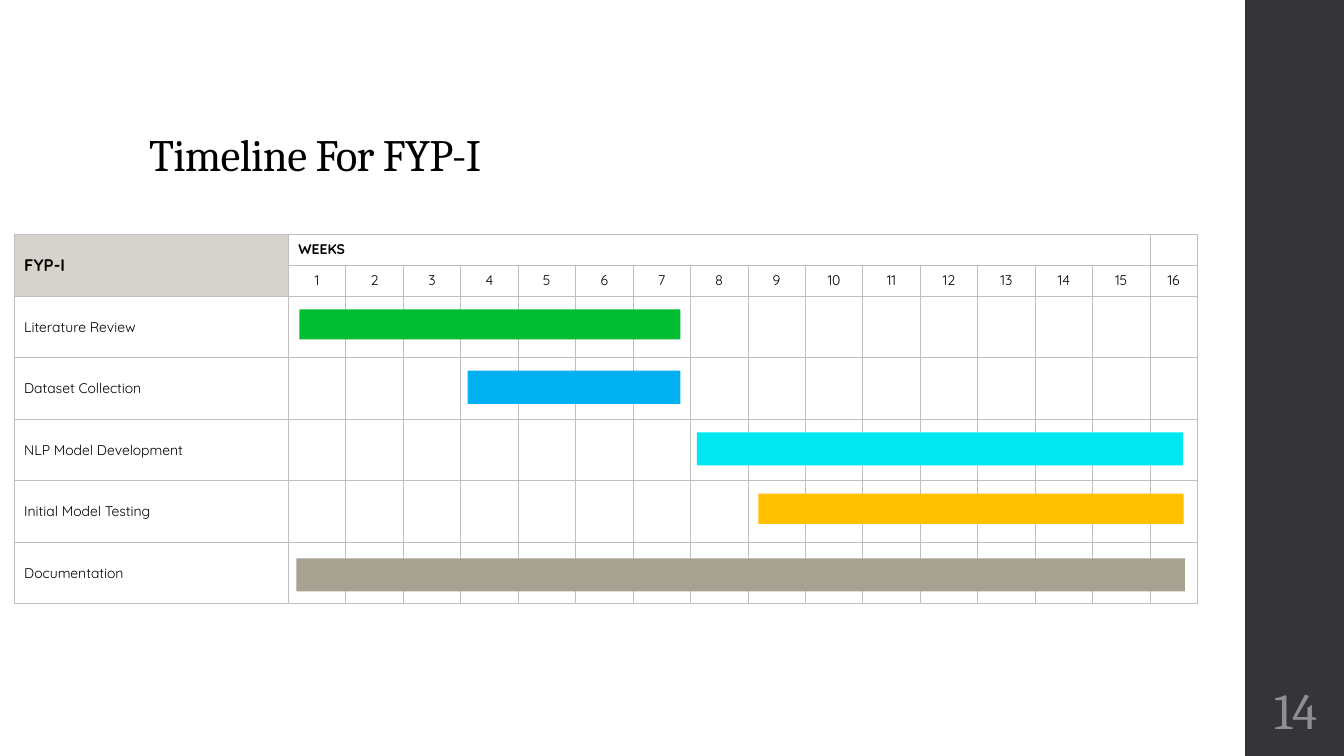
from lxml.etree import SubElement
from pptx import Presentation
from pptx.dml.color import RGBColor
from pptx.enum.shapes import MSO_SHAPE
from pptx.enum.text import MSO_ANCHOR, PP_ALIGN
from pptx.oxml.ns import qn
from pptx.util import Inches, Pt

SLIDE_W, SLIDE_H = 13.33, 7.5

# Timeline grid, in inches
GRID_LEFT, GRID_TOP = 0.14, 2.32
TASK_COL, WEEK_COL, LAST_COL = 2.72, 0.57, 0.47
HEAD_ROW, TASK_ROW = 0.31, 0.61
WEEKS = 16

# Task, colour, start and length in week columns, offset and height in task rows
TASKS = [
    ("Literature Review", "00BD32", 0.19, 6.63, 0.21, 0.49),
    ("Dataset Collection", "00B0F0", 3.12, 3.7, 0.21, 0.54),
    ("NLP Model Development", "00E7F2", 7.11, 8.46, 0.21, 0.54),
    ("Initial Model Testing", "FFC000", 8.18, 7.4, 0.21, 0.49),
    ("Documentation", "A7A192", 0.14, 15.46, 0.26, 0.54),
]


def paint(fill, color, alpha=100):
    """Make the fill solid, with alpha as a percentage of opacity."""
    fill.solid()
    fill.fore_color.rgb = RGBColor.from_string(color)
    if alpha < 100:
        srgb = fill._xPr.find(qn("a:solidFill"))[0]
        SubElement(srgb, qn("a:alpha"), val=str(alpha * 1000))


def write(frame, text, font="Quicksand", size=10, color="000000", bold=False,
          align=PP_ALIGN.LEFT, line_spacing=None, tracking=None):
    paragraph = frame.paragraphs[0]
    paragraph.alignment = align
    paragraph.line_spacing = line_spacing
    if not text:
        SubElement(paragraph._p, qn("a:endParaRPr"), sz=str(size * 100))
        return
    run = paragraph.add_run()
    run.text = text
    run.font.name, run.font.size, run.font.bold = font, Pt(size), bold
    run.font.color.rgb = RGBColor.from_string(color)
    if tracking:
        run._r.get_or_add_rPr().set("spc", str(int(tracking * 100)))


def set_margins(target, inches):
    for side in ("left", "right", "top", "bottom"):
        setattr(target, f"margin_{side}", Inches(inches))


class TimelineSlide:
    heading_font = "Cambria"
    border = "BFBFBF"
    border_width = 0.5

    def __init__(self, deck):
        self.slide = deck.slides.add_slide(deck.slide_layouts[6])

    def block(self, x, y, w, h, color):
        shape = self.slide.shapes.add_shape(
            MSO_SHAPE.RECTANGLE, *map(Inches, (x, y, w, h)))
        shape.shadow.inherit = False
        shape.line.fill.background()
        paint(shape.fill, color)

    def heading(self, x, y, w, h, text, anchor, margin=None, **style):
        box = self.slide.shapes.add_textbox(*map(Inches, (x, y, w, h)))
        frame = box.text_frame
        frame.word_wrap = True
        frame.vertical_anchor = anchor
        if margin is not None:
            set_margins(frame, margin)
        write(frame, text, font=self.heading_font, line_spacing=0.9, **style)

    def cell(self, cell, text="", color="FFFFFF", alpha=100, margin=None, **style):
        cell.vertical_anchor = MSO_ANCHOR.MIDDLE
        if margin is not None:
            set_margins(cell, margin)
        for side in ("lnL", "lnR", "lnT", "lnB"):
            line = SubElement(cell._tc.get_or_add_tcPr(), qn(f"a:{side}"),
                              w=str(Pt(self.border_width)))
            solid = SubElement(line, qn("a:solidFill"))
            SubElement(solid, qn("a:srgbClr"), val=self.border)
        paint(cell.fill, color, alpha)
        write(cell.text_frame, text, **style)

    def schedule(self, title):
        """Add the week grid with its two header rows and task names."""
        widths = [TASK_COL] + [WEEK_COL] * (WEEKS - 1) + [LAST_COL]
        heights = [HEAD_ROW] * 2 + [TASK_ROW] * len(TASKS)
        table = self.slide.shapes.add_table(
            len(heights), len(widths), Inches(GRID_LEFT), Inches(GRID_TOP),
            Inches(sum(widths)), Inches(sum(heights))).table
        table.first_row = table.horz_banding = False
        for column, width in zip(table.columns, widths):
            column.width = Inches(width)
        for row, height in zip(table.rows, heights):
            row.height = Inches(height)

        table.cell(0, 0).merge(table.cell(1, 0))
        table.cell(0, 1).merge(table.cell(0, WEEKS - 1))
        self.cell(table.cell(0, 0), title, "D6D3CC", size=12, bold=True)
        self.cell(table.cell(1, 0), color="D6D3CC")
        for week in range(1, WEEKS + 1):
            self.cell(table.cell(0, week), "WEEKS" if week == 1 else "",
                      alpha=75, bold=True)
            self.cell(table.cell(1, week), str(week), alpha=75, margin=0,
                      align=PP_ALIGN.CENTER)
        for row, (task, *_) in enumerate(TASKS, start=2):
            self.cell(table.cell(row, 0), task)
            for week in range(1, WEEKS + 1):
                self.cell(table.cell(row, week), alpha=50)

    def task_bar(self, index, color, start, length, offset, height):
        self.block(GRID_LEFT + TASK_COL + start * WEEK_COL,
                   GRID_TOP + 2 * HEAD_ROW + (index + offset) * TASK_ROW,
                   length * WEEK_COL, height * TASK_ROW, color)


def main():
    deck = Presentation()
    deck.slide_width, deck.slide_height = Inches(SLIDE_W), Inches(SLIDE_H)
    timeline = TimelineSlide(deck)

    band_left = 12.35
    band_width = SLIDE_W - band_left
    timeline.block(band_left, 0, band_width, SLIDE_H, "353537")
    timeline.heading(1.38, 0.4, 10.6, 1.45, "Timeline For FYP-I",
                     MSO_ANCHOR.BOTTOM, size=32, tracking=-0.5)
    timeline.heading(band_left, 6.75, 1, 0.65, "14", MSO_ANCHOR.MIDDLE,
                     margin=0.05, size=36, color="8E8E94", align=PP_ALIGN.CENTER)
    timeline.schedule("FYP-I")
    for index, (_, *bar) in enumerate(TASKS):
        timeline.task_bar(index, *bar)

    deck.save("out.pptx")


if __name__ == "__main__":
    main()
